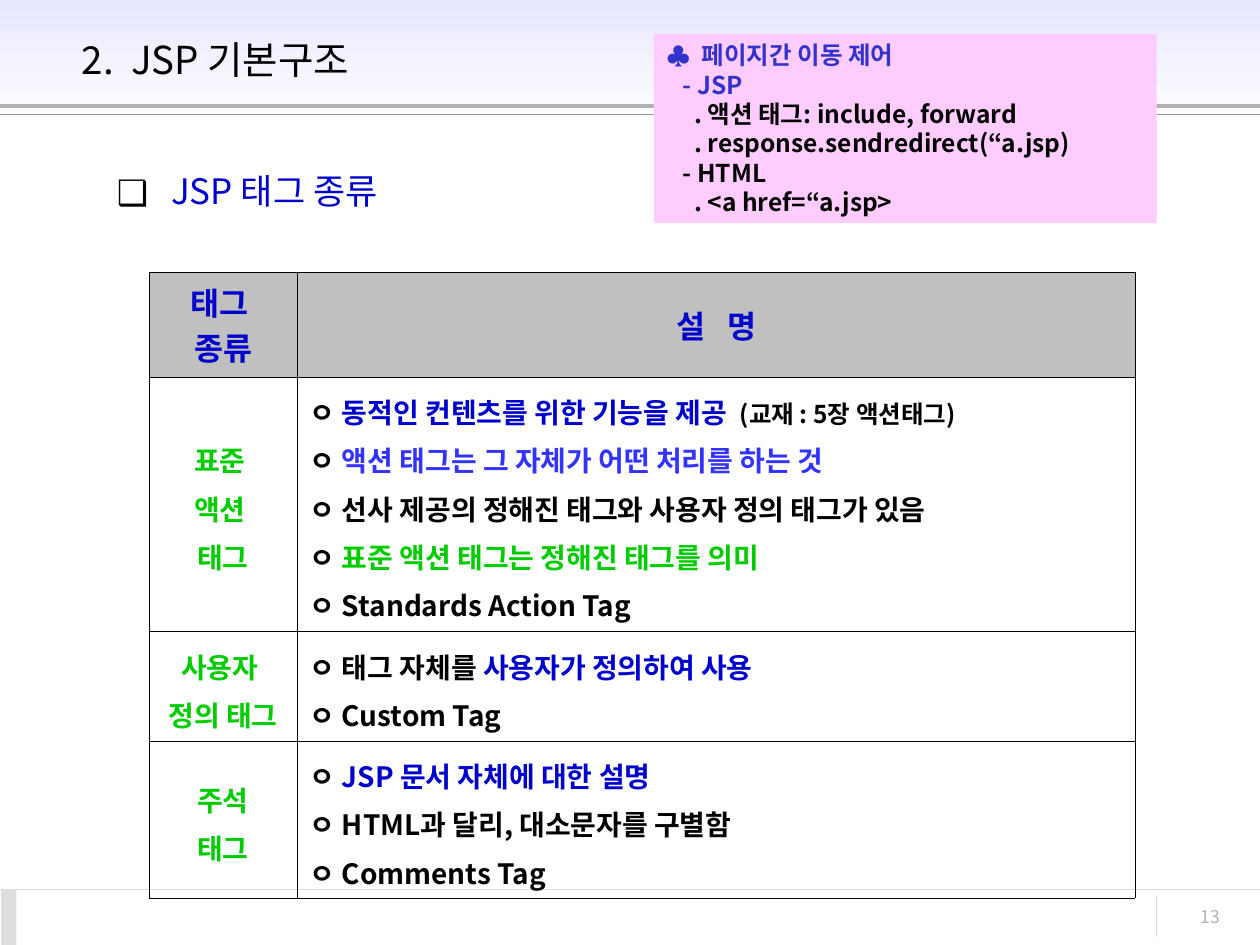
"""Build the slide on JSP tag kinds."""
from dataclasses import dataclass
from typing import Any, NamedTuple, Optional

from lxml.etree import SubElement
from pptx import Presentation
from pptx.dml.color import RGBColor
from pptx.enum.shapes import MSO_CONNECTOR, MSO_SHAPE
from pptx.enum.text import MSO_ANCHOR, MSO_AUTO_SIZE, PP_ALIGN
from pptx.oxml.ns import qn
from pptx.util import Inches, Pt


@dataclass(frozen=True)
class Theme:
    font: str = "Noto Sans CJK KR"
    black: str = "000000"
    white: str = "FFFFFF"
    navy: str = "0000CC"
    blue: str = "3333FF"
    slate: str = "3333CC"
    green: str = "00CC00"
    pink: str = "FFCCFF"
    haze: str = "E7E7FF"
    head: str = "C0C0C0"
    mid: str = "B2B2B2"
    dark: str = "969696"
    pale: str = "DDDDDD"
    title: int = 22
    topic: int = 20
    label: int = 18
    body: int = 16
    note: int = 14
    foot: int = 10


T = Theme()


class Span(NamedTuple):
    text: str
    ink: str = T.black
    size: Optional[int] = None


class Para(NamedTuple):
    spans: list[Span]
    left: float = 0
    mark: str = ""


class Rule(NamedTuple):
    start: tuple[float, float]
    end: tuple[float, float]
    ink: str
    width: float


class Row(NamedTuple):
    high: float
    name: list[Para]
    info: list[Para]


def rgb(ink: str) -> RGBColor:
    return RGBColor.from_string(ink)


def put(item: Any, **form: Any) -> None:
    for key, val in form.items():
        setattr(item, key, val)


def line(text: str, ink: str = T.black, left: float = 0, mark: str = "") -> Para:
    return Para([Span(text, ink)], left, mark)


def point(*spans: Span) -> Para:
    return Para([Span("ㅇ "), *spans])


def names(*words: str) -> list[Para]:
    return [line(word, T.green) for word in words]


def indent(para: Any, left: float, mark: str, ink: str) -> None:
    props = para._p.get_or_add_pPr()
    props.set("marL", str(Inches(left)))
    if mark:
        props.set("indent", str(-Inches(left)))
        tint = SubElement(props, qn("a:buClr"))
        SubElement(tint, qn("a:srgbClr"), val=ink)
        SubElement(props, qn("a:buFont"), typeface=T.font)
        SubElement(props, qn("a:buChar"), char=mark)


def write(frame: Any, paras: list[Para], size: int, bold: bool = False,
          align: Any = PP_ALIGN.LEFT, space: float = 1.0, tint: str = T.black) -> None:
    for i, data in enumerate(paras):
        para = frame.add_paragraph() if i else frame.paragraphs[0]
        if data.left:
            indent(para, data.left, data.mark, tint)
        put(para, alignment=align, line_spacing=space)
        for span in data.spans:
            run = para.add_run()
            run.text = span.text
            put(run.font, name=T.font, size=Pt(span.size or size), bold=bold)
            run.font.color.rgb = rgb(span.ink)
            run.font._element.set("kern", "0")
            SubElement(run.font._element, qn("a:ea"), typeface=T.font)


def rect(shapes: Any, box: tuple, ink: str, fade: str = "") -> Any:
    shape = shapes.add_shape(MSO_SHAPE.RECTANGLE, *map(Inches, box))
    shape.shadow.inherit = False
    shape.line.fill.background()
    if fade:
        shape.fill.gradient()
        shape.fill.gradient_angle = 270
        for stop, tone in zip(shape.fill.gradient_stops, (ink, fade)):
            stop.color.rgb = rgb(tone)
    else:
        shape.fill.solid()
        shape.fill.fore_color.rgb = rgb(ink)
    return shape


def stroke(shapes: Any, rule: Rule) -> None:
    link = shapes.add_connector(MSO_CONNECTOR.STRAIGHT, *map(Inches, rule.start + rule.end))
    link.line.color.rgb = rgb(rule.ink)
    link.line.width = Pt(rule.width)
    SubElement(link._element.spPr, qn("a:effectLst"))


def label(shapes: Any, box: tuple, paras: list[Para], size: int, **form: Any) -> None:
    frame = shapes.add_textbox(*map(Inches, box)).text_frame
    frame.word_wrap = True
    write(frame, paras, size, **form)


def edge(cell: Any) -> None:
    props = cell._tc.get_or_add_tcPr()
    for i, side in enumerate(("lnL", "lnR", "lnT", "lnB")):
        part = props.makeelement(qn(f"a:{side}"), {"w": str(Pt(0.11))})
        fill = SubElement(part, qn("a:solidFill"))
        SubElement(fill, qn("a:srgbClr"), val=T.black)
        props.insert(i, part)


def grid(shapes: Any, left: float, top: float, cols: tuple, rows: list[Row]) -> None:
    box = (left, top, sum(cols), sum(row.high for row in rows))
    table = shapes.add_table(len(rows), len(cols), *map(Inches, box)).table
    put(table, first_row=False, horz_banding=False)
    for col, wide in zip(table.columns, cols):
        col.width = Inches(wide)
    for i, row in enumerate(rows):
        table.rows[i].height = Inches(row.high)
        for j, paras in enumerate((row.name, row.info)):
            cell = table.cell(i, j)
            cell.vertical_anchor = MSO_ANCHOR.MIDDLE
            if i:
                cell.fill.background()
                align = PP_ALIGN.JUSTIFY if j else PP_ALIGN.CENTER
                write(cell.text_frame, paras, T.body, True, align, 1.2)
            else:
                cell.fill.solid()
                cell.fill.fore_color.rgb = rgb(T.head)
                write(cell.text_frame, paras, T.label, True, PP_ALIGN.CENTER)
            edge(cell)


RULES = [
    Rule((0, 0.84), (10, 0.84), T.mid, 2.25),
    Rule((0, 0.91), (10, 0.91), T.dark, 0.75),
    Rule((0, 7.06), (10, 7.06), T.pale, 0.75),
    Rule((9.18, 7.1), (9.18, 7.44), T.pale, 0.75),
]
ROWS = [
    Row(0.83, [line("태그 ", T.navy), line("종류", T.navy)], [line("설   명", T.navy)]),
    Row(2.02, names("표준 ", "액션 ", "태그"), [
        point(Span("동적인 컨텐츠를 위한 기능을 제공  ", T.navy),
              Span("(교재 : 5장 액션태그)", T.black, T.note)),
        point(Span("액션 태그는 그 자체가 어떤 처리를 하는 것", T.blue)),
        point(Span("선사 제공의 정해진 태그와 사용자 정의 태그가 있음")),
        point(Span("표준 액션 태그는 정해진 태그를 의미", T.green)),
        point(Span("Standards Action Tag"))]),
    Row(0.87, names("사용자 ", "정의 태그"), [
        point(Span("태그 자체를 "), Span("사용자가 정의하여 사용", T.navy)),
        point(Span("Custom Tag"))]),
    Row(1.25, names("주석", "태그"), [
        point(Span("JSP 문서 자체에 대한 설명", T.navy)),
        point(Span("HTML과 달리, 대소문자를 구별함")),
        point(Span("Comments Tag"))]),
]
NOTES = [
    line("페이지간 이동 제어", T.slate, 0.28, "♣"),
    line("- JSP", T.slate, 0.13),
    line(". 액션 태그: include, forward", left=0.22),
    line(". response.sendredirect(“a.jsp)", left=0.22),
    line("- HTML", left=0.13),
    line(". <a href=“a.jsp>", left=0.22),
]


def main() -> None:
    deck = Presentation()
    put(deck, slide_width=Inches(10), slide_height=Inches(7.5))
    slide = deck.slides.add_slide(deck.slide_layouts[5])
    shapes = slide.shapes
    rect(shapes, (0, 0, 10, 1), T.haze, T.white)
    rect(shapes, (0.01, 7.06, 0.12, 0.44), T.pale)
    for rule in RULES:
        stroke(shapes, rule)
    label(shapes, (8.86, 7.14, 0.92, 0.33), [line("13", T.mid)], T.foot, align=PP_ALIGN.RIGHT)
    title = shapes.title
    put(title, left=Inches(0.55), top=Inches(0.13), width=Inches(8.63), height=Inches(0.68))
    put(title.text_frame, vertical_anchor=MSO_ANCHOR.MIDDLE, word_wrap=True)
    write(title.text_frame, [line("2.  JSP 기본구조")], T.title)
    title.element.getparent().append(title.element)
    label(shapes, (0.83, 1.23, 8.67, 4.95), [line("JSP 태그 종류", T.navy, 0.43, "❑")],
          T.topic, space=1.2)
    grid(shapes, 1.18, 2.16, (1.18, 6.65), ROWS)
    card = rect(shapes, (5.19, 0.27, 3.99, 1.5), T.pink)
    put(card.text_frame, word_wrap=True, vertical_anchor=MSO_ANCHOR.TOP,
        auto_size=MSO_AUTO_SIZE.SHAPE_TO_FIT_TEXT)
    write(card.text_frame, NOTES, T.note, True, tint=T.slate)
    deck.save("out.pptx")


if __name__ == "__main__":
    main()
